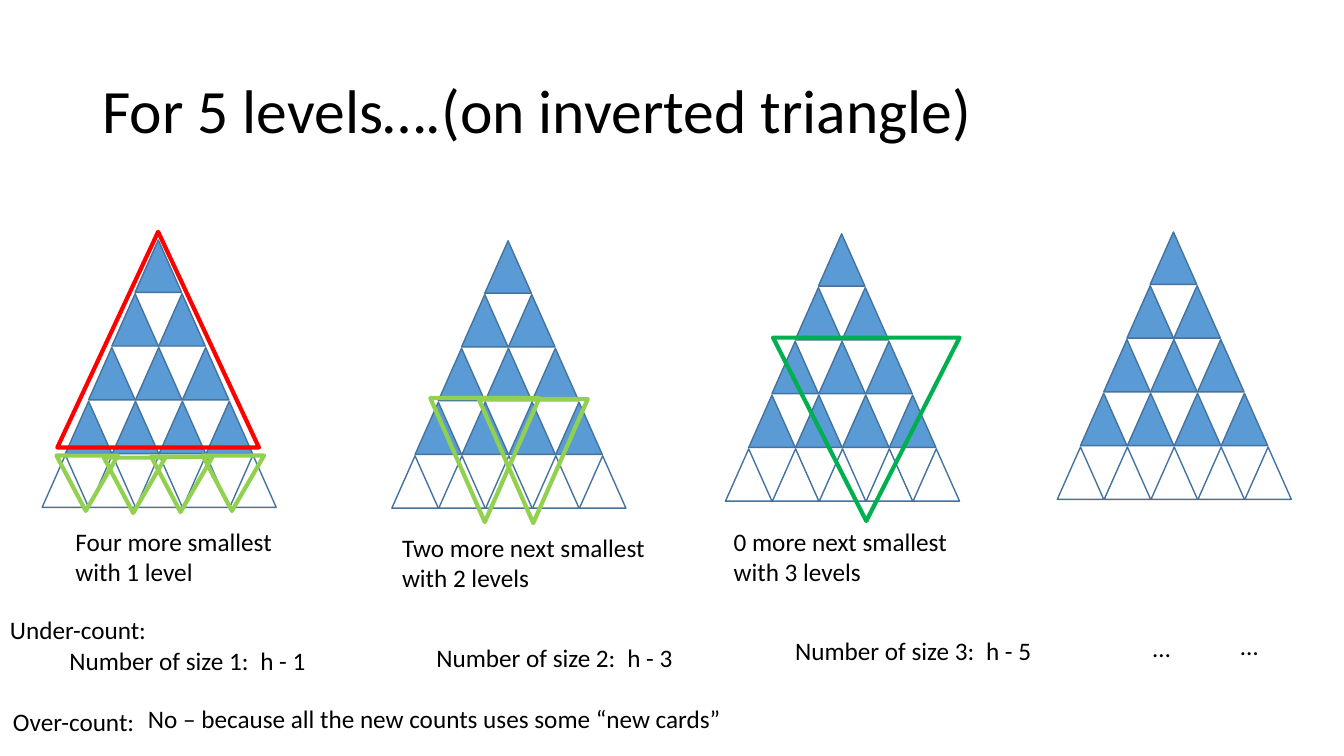
import pptx
import pptx.util
import pptx.dml.color
import pptx.enum.shapes
import pptx.enum.text

Pt = pptx.util.Pt
COLORS = {
    "card": "5B9BD5",
    "edge": "43739E",
    "lime": "92D050",
    "green": "00B050",
    "red": "FF0000",
    "text": "000000",
}


def rgb(name):
    return pptx.dml.color.RGBColor.from_string(COLORS[name])


def add_triangle(shapes, x, y, w, h, line, weight, fill=None, inverted=False):
    sp = shapes.add_shape(pptx.enum.shapes.MSO_SHAPE.ISOSCELES_TRIANGLE,
                          Pt(x), Pt(y), Pt(w), Pt(h))
    sp.shadow.inherit = False
    if fill:
        sp.fill.solid()
        sp.fill.fore_color.rgb = rgb(fill)
    else:
        sp.fill.background()
    sp.line.color.rgb = rgb(line)
    sp.line.width = Pt(weight)
    if inverted:
        sp._element.spPr.xfrm.set("flipV", "1")
    return sp


prs = pptx.Presentation()
prs.slide_width, prs.slide_height = Pt(960), Pt(540)
s = prs.slides.add_slide(prs.slide_layouts[5])

# Title
title = s.shapes.title
title.left, title.top, title.width, title.height = Pt(66), Pt(28.8), Pt(828), Pt(104.4)
tf = title.text_frame
tf.text = "For 5 levels….(on inverted triangle)"
tf.vertical_anchor = pptx.enum.text.MSO_ANCHOR.MIDDLE
p = tf.paragraphs[0]
p.alignment = pptx.enum.text.PP_ALIGN.LEFT
p.line_spacing = 0.9
font = p.runs[0].font
font.name, font.size = "Calibri", Pt(44)
font.color.rgb = rgb("text")

# Four five-level pyramids, the lowest level unfilled
LEVELS = 5
CARD_W, CARD_H = 33.2, 37.4
COL_STEP, ROW_STEP = 33.5, 38.4
for top_x, top_y in [(96.5, 171.4), (346.3, 172), (584.6, 167), (821.6, 165.7)]:
    pyramid = s.shapes.add_group_shape()
    for level in range(LEVELS):
        for col in range(level + 1):
            add_triangle(pyramid.shapes,
                         top_x - level * CARD_W / 2 + col * COL_STEP,
                         top_y + level * ROW_STEP, CARD_W, CARD_H, "edge", 1,
                         fill="card" if level < LEVELS - 1 else None)

# Highlighted triangles
for x, y in [(40.3, 325.4), (74.2, 326.9), (108, 326.2), (144.7, 325.4)]:
    sp = add_triangle(s.shapes, x, y, 43.9, 39.6, "lime", 3, inverted=True)
    sp.adjustments[0] = 0.477
for x, y in [(307.4, 284.4), (342, 285.1)]:
    add_triangle(s.shapes, x, y, 77.8, 88.6, "lime", 3, inverted=True)
add_triangle(s.shapes, 552.2, 241.2, 133.2, 131, "green", 3, inverted=True)
add_triangle(s.shapes, 41, 165.6, 144, 154.1, "red", 3)

# Captions and counts: text, left, top, width
labels = [
    ("Four more smallest\nwith 1 level", 46.8, 372.2, 156.2),
    ("Two more next smallest\nwith 2 levels", 280.1, 376.6, 190.1),
    ("0 more next smallest\nwith 3 levels", 517, 372.2, 168.5),
    ("…", 816.5, 447.8, 27.4),
    ("…", 879.1, 446.4, 27.4),
    ("Under-count:", 0, 435.6, 113.8),
    ("Over-count:", 2.2, 501.1, 103),
    ("No – because all the new counts uses some “new cards”", 98.6, 499, 428.4),
]
for size, (x, y) in enumerate([(42.5, 457.2), (304.6, 455), (560.9, 450)], start=1):
    labels.append((f"Number of size {size}:", x, y, 144))
    labels.append((f"h - {2 * size - 1}", x + 136.4, y, 47.5))

for text, x, y, w in labels:
    h = 51.1 if "\n" in text else 28.8
    tf = s.shapes.add_textbox(Pt(x), Pt(y), Pt(w), Pt(h)).text_frame
    tf.word_wrap = False
    tf.auto_size = pptx.enum.text.MSO_AUTO_SIZE.SHAPE_TO_FIT_TEXT
    tf.text = text
    for p in tf.paragraphs:
        font = p.runs[0].font
        font.name, font.size = "Calibri", Pt(18)
        font.color.rgb = rgb("text")

prs.save("out.pptx")
